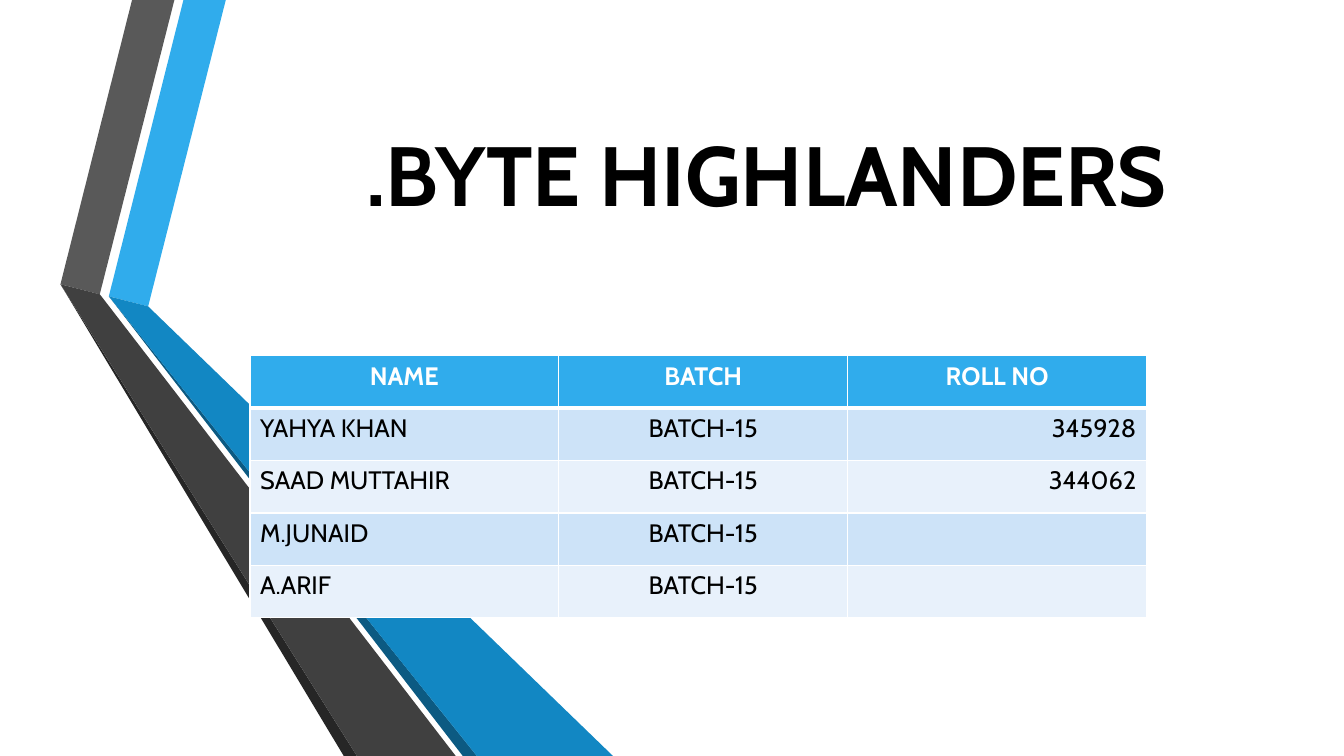
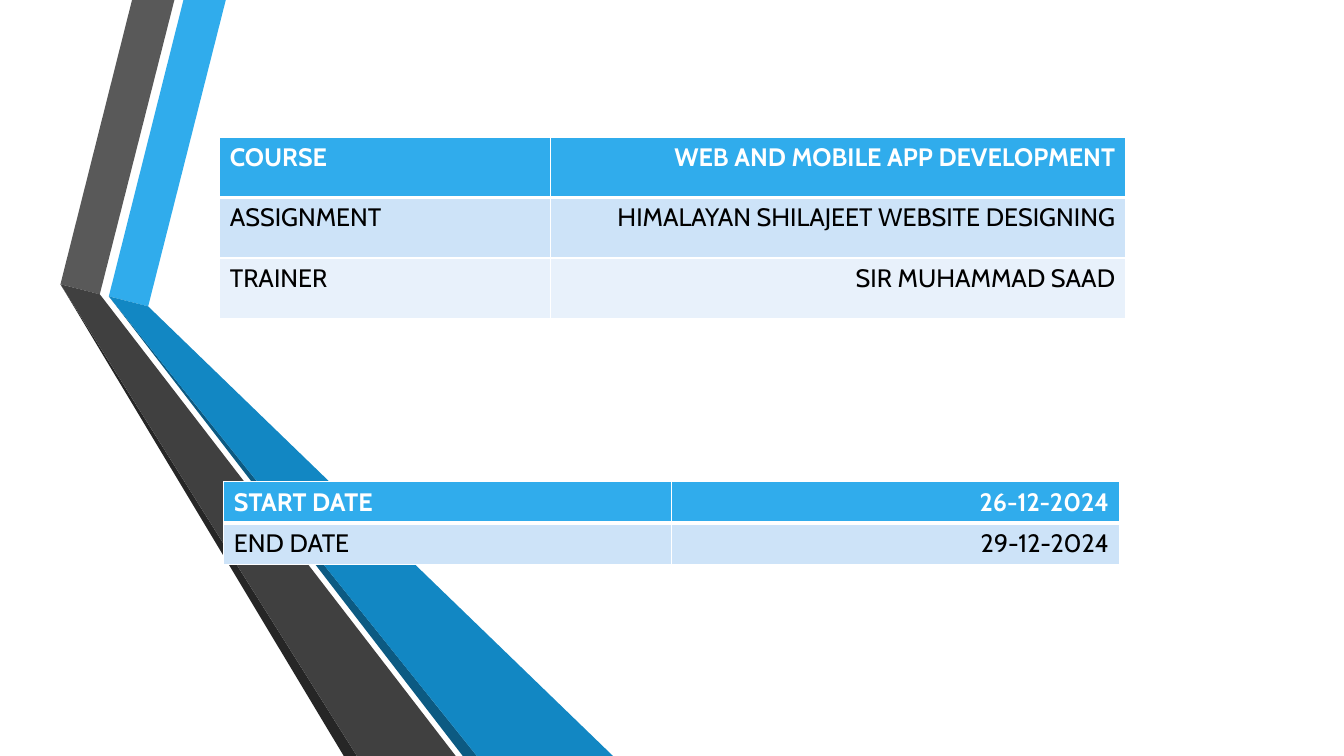
from lxml import etree
from pptx import Presentation
from pptx.dml.color import RGBColor
from pptx.enum.text import MSO_ANCHOR, PP_ALIGN
from pptx.oxml.ns import qn
from pptx.util import Inches, Pt

UNIT = Inches(0.01)  # grid step; the slide is 1333 columns by 750 rows
COLS, ROWS = 1333, 750
FONT = "Cabin"
COLORS = {
    "sky": "30ACEC", "blue": "1287C3", "navy": "0C5A82",
    "grey": "595959", "dark": "404040", "shade": "262626",
    "row_odd": "CDE3F8", "row_even": "E8F1FB",
    "white": "FFFFFF", "black": "000000",
}
ALIGN = {"l": PP_ALIGN.LEFT, "c": PP_ALIGN.CENTER, "r": PP_ALIGN.RIGHT}

# Folded ribbons, back to front, as grid points
BANDS = [
    ("sky", [(108, 294), (147, 304), (224, 0), (182, 0)]),
    ("grey", [(99, 292), (173, 0), (131, 0), (60, 282)]),
    ("shade", [(60, 282), (341, ROWS), (354, ROWS)]),
    ("navy", [(108, 294), (459, ROWS), (473, ROWS)]),
    ("blue", [(108, 294), (473, ROWS), (608, ROWS), (147, 304)]),
    ("dark", [(60, 282), (354, ROWS), (452, ROWS), (106, 301), (99, 292)]),
]


def style_text(p, size, color, bold, align):
    p.alignment = align
    for r in p.runs:
        r.font.name, r.font.size, r.font.bold = FONT, Pt(size), bold
        r.font.color.rgb = RGBColor.from_string(COLORS[color])


def add_grid(s, left, top, widths, row_height, aligns, rows, head_aligns=None):
    """Add a table with a sky header, banded rows and white rules."""
    frame = s.shapes.add_table(len(rows), len(widths), left * UNIT, top * UNIT,
                               sum(widths) * UNIT, len(rows) * row_height * UNIT)
    table = frame.table
    for column, width in zip(table.columns, widths):
        column.width = width * UNIT
    for i, row in enumerate(rows):
        table.rows[i].height = row_height * UNIT
        fill = "sky" if i == 0 else "row_odd" if i % 2 else "row_even"
        row_aligns = head_aligns if i == 0 and head_aligns else aligns
        for j, text in enumerate(row):
            cell = table.cell(i, j)
            cell.text = text
            style_text(cell.text_frame.paragraphs[0], 18,
                       "black" if i else "white", i == 0, ALIGN[row_aligns[j]])
            cell.fill.solid()
            cell.fill.fore_color.rgb = RGBColor.from_string(COLORS[fill])
            tc_pr = cell._tc.get_or_add_tcPr()
            rules = {"lnL": 1, "lnR": 1, "lnT": 3 if i == 1 else 1, "lnB": 1 if i else 3}
            for k, (side, width) in enumerate(rules.items()):
                ln = etree.Element(qn(f"a:{side}"), w=str(Pt(width)))
                solid = etree.SubElement(ln, qn("a:solidFill"))
                etree.SubElement(solid, qn("a:srgbClr"), val=COLORS["white"])
                tc_pr.insert(k, ln)


prs = Presentation()
prs.slide_width, prs.slide_height = COLS * UNIT, ROWS * UNIT
title_only, blank = prs.slide_layouts[5], prs.slide_layouts[6]

# Slide 1: team
s = prs.slides.add_slide(title_only)

# The ribbons are drawn once and moved to the master
master = prs.slide_master.shapes.element
for n, (color, points) in enumerate(BANDS):
    builder = s.shapes.build_freeform(*points[0], scale=UNIT)
    builder.add_line_segments(points[1:], close=True)
    sp = builder.convert_to_shape()
    sp.shadow.inherit = False
    sp.fill.solid()
    sp.fill.fore_color.rgb = RGBColor.from_string(COLORS[color])
    sp.line.fill.background()
    sp.element.nvSpPr.cNvPr.set("id", str(100 + n))
    master.append(sp.element)

title = s.shapes.title
title.left, title.top = 167 * UNIT, 43 * UNIT
title.width, title.height = 1000 * UNIT, 280 * UNIT
tf = title.text_frame
tf.text = ".BYTE HIGHLANDERS"
tf.vertical_anchor = MSO_ANCHOR.BOTTOM
tf.margin_bottom = 101 * UNIT
style_text(tf.paragraphs[0], 60, "black", True, PP_ALIGN.RIGHT)

add_grid(s, 248, 353, [306, 287, 296], 52, "lcr", [
    ("NAME", "BATCH", "ROLL NO"),
    ("YAHYA KHAN", "BATCH-15", "345928"),
    ("SAAD MUTTAHIR", "BATCH-15", "344062"),
    ("M.JUNAID", "BATCH-15", ""),
    ("A.ARIF", "BATCH-15", ""),
], head_aligns="ccc")

# Slide 2: assignment and dates
s = prs.slides.add_slide(blank)
add_grid(s, 218, 136, [328, 570], 60, "lr", [
    ("COURSE", "WEB AND MOBILE APP DEVELOPMENT"),
    ("ASSIGNMENT", "HIMALAYAN SHILAJEET WEBSITE DESIGNING"),
    ("TRAINER", "SIR MUHAMMAD SAAD"),
])
add_grid(s, 222, 478, [444, 444], 41, "lr", [
    ("START DATE", "26-12-2024"),
    ("END DATE", "29-12-2024"),
])

prs.save("out.pptx")
